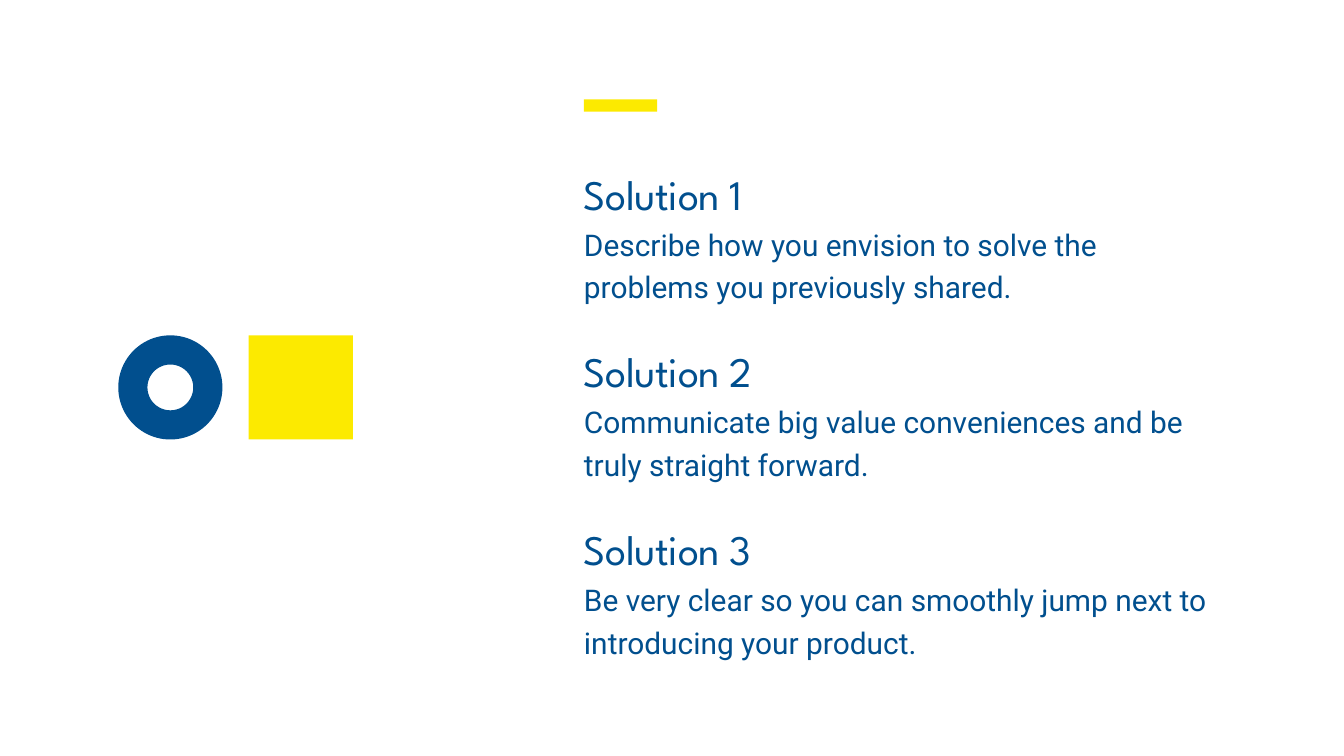
"""Build a slide listing three solutions beside a ring and a square."""
from pptx import Presentation
from pptx.dml.color import RGBColor
from pptx.enum.shapes import MSO_SHAPE
from pptx.enum.text import MSO_AUTO_SIZE
from pptx.util import Inches, Pt

BLUE, YELLOW = "014F8E", "FCEA00"
SOLUTIONS = [
    ("Solution 1", "Describe how you envision to solve the problems you previously shared."),
    ("Solution 2", "Communicate big value conveniences and be truly straight forward."),
    ("Solution 3", "Be very clear so you can smoothly jump next to introducing your product."),
]
HEADING = {"font": {"name": "League Spartan", "size": Pt(45)}, "line": 58.5, "height": 0.78, "tracking": -40}
BODY = {"font": {"name": "Roboto", "size": Pt(32)}, "line": 45.4, "height": 1.22, "tracking": 0}
MARGINS = {"margin_left": 0, "margin_top": 0, "margin_right": 0, "margin_bottom": 0}
COLUMN_LEFT, COLUMN_WIDTH = 8.69, 9.55
FIRST_TOP, SOLUTION_STEP, BODY_OFFSET = 2.44, 2.645, 0.83
ICON_SIZE, ICON_TOP = 1.55, 4.99
DECORATIONS = [
    (MSO_SHAPE.RECTANGLE, COLUMN_LEFT, 1.48, 1.09, 0.18, YELLOW),
    (MSO_SHAPE.RECTANGLE, 3.7, ICON_TOP, ICON_SIZE, ICON_SIZE, YELLOW),
    (MSO_SHAPE.DONUT, 1.76, ICON_TOP, ICON_SIZE, ICON_SIZE, BLUE),
]


def color(value):
    return RGBColor.from_string(value)


def set_attributes(target, values):
    for name, value in values.items():
        setattr(target, name, value)


def add_text(slide, text, top, style):
    box = slide.shapes.add_textbox(
        Inches(COLUMN_LEFT), Inches(top), Inches(COLUMN_WIDTH), Inches(style["height"]))
    frame = box.text_frame
    set_attributes(frame, {**MARGINS, "word_wrap": True, "auto_size": MSO_AUTO_SIZE.SHAPE_TO_FIT_TEXT})
    paragraph = frame.paragraphs[0]
    paragraph.line_spacing = Pt(style["line"])
    run = paragraph.add_run()
    run.text = text
    set_attributes(run.font, style["font"])
    run.font.color.rgb = color(BLUE)
    if style["tracking"]:
        run._r.get_or_add_rPr().set("spc", str(style["tracking"]))


def add_decoration(slide, kind, left, top, width, height, fill):
    shape = slide.shapes.add_shape(kind, Inches(left), Inches(top), Inches(width), Inches(height))
    shape.shadow.inherit = False
    shape.fill.solid()
    shape.fill.fore_color.rgb = color(fill)
    shape.line.fill.background()
    if kind == MSO_SHAPE.DONUT:
        shape.adjustments[0] = 0.28


def main():
    presentation = Presentation()
    set_attributes(presentation, {"slide_width": Inches(20), "slide_height": Inches(11.25)})
    slide = presentation.slides.add_slide(presentation.slide_layouts[6])
    for index, (heading, body) in enumerate(SOLUTIONS):
        top = FIRST_TOP + index * SOLUTION_STEP
        add_text(slide, heading, top, HEADING)
        add_text(slide, body, top + BODY_OFFSET, BODY)
    for decoration in DECORATIONS:
        add_decoration(slide, *decoration)
    presentation.save("out.pptx")


if __name__ == "__main__":
    main()
